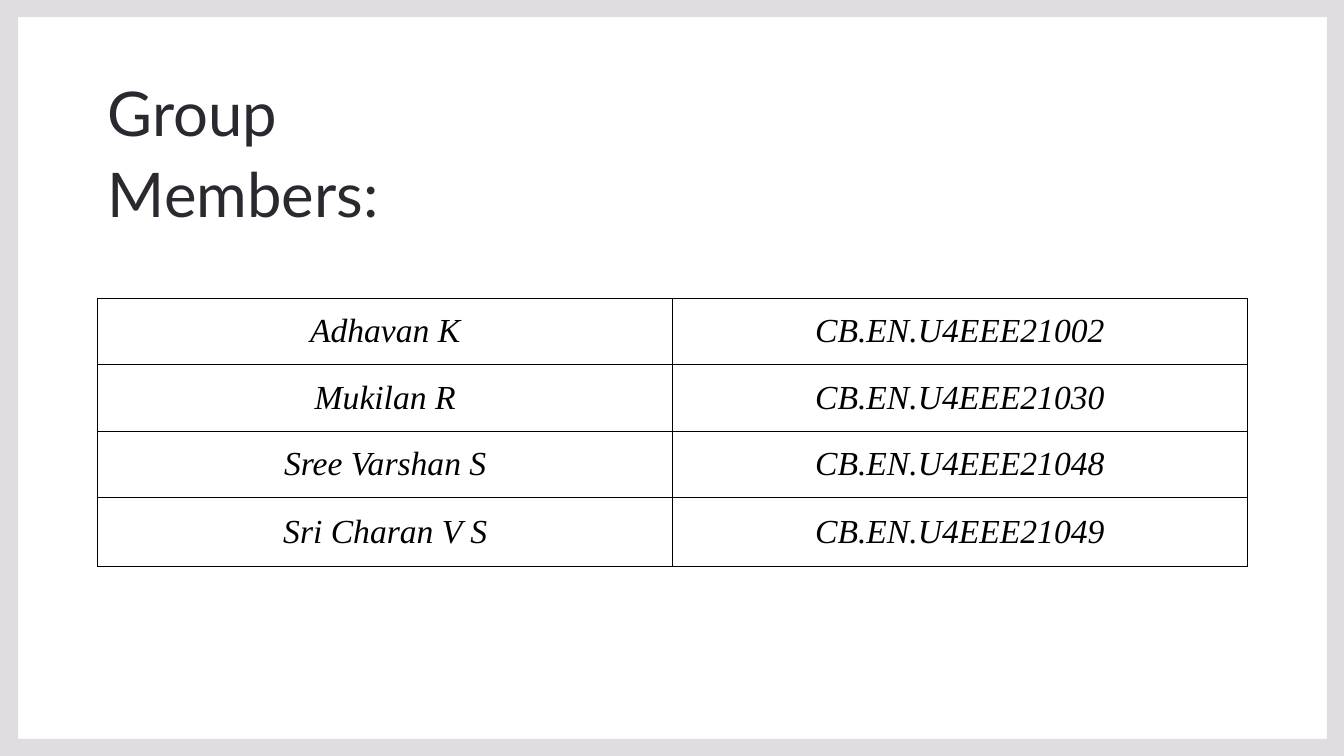
"""Build the group members slide."""
import pptx
import pptx.dml.color
import pptx.enum.text
import pptx.oxml
import pptx.oxml.ns
import pptx.util

Inches = pptx.util.Inches
Pt = pptx.util.Pt
RGBColor = pptx.dml.color.RGBColor
Anchor = pptx.enum.text.MSO_ANCHOR
Align = pptx.enum.text.PP_ALIGN

FRAME = RGBColor(0xE0, 0xDC, 0xE1)
INK = RGBColor(0x2C, 0x28, 0x30)
BLACK = RGBColor(0x00, 0x00, 0x00)

WIDTH, HEIGHT = 13.33, 7.5
LEFT = 0.97
TITLE_FONT = {"name": "Lato", "size": Pt(44)}
CELL_FONT = {"name": "Times New Roman", "size": Pt(24), "italic": True}
CELL_FORMAT = {
    "vertical_anchor": Anchor.MIDDLE,
    "margin_left": Inches(0.06),
    "margin_right": Inches(0.06),
    "margin_top": Inches(0.03),
    "margin_bottom": Inches(0.03),
}
COLUMN_WIDTH = 5.7
ROW_HEIGHTS = [0.66, 0.66, 0.66, 0.68]
MEMBERS = [
    ("Adhavan K", "CB.EN.U4EEE21002"),
    ("Mukilan R", "CB.EN.U4EEE21030"),
    ("Sree Varshan S", "CB.EN.U4EEE21048"),
    ("Sri Charan V S", "CB.EN.U4EEE21049"),
]


def apply(target, values):
    """Set each named attribute on the target."""
    for name, value in values.items():
        setattr(target, name, value)


def write(p, text, font, color):
    """Add a formatted run to a paragraph."""
    r = p.add_run()
    r.text = text
    apply(r.font, font)
    r.font.color.rgb = color


def add_frame(s):
    """Draw the border around the slide edge."""
    outer = [(0, 0), (WIDTH, 0), (WIDTH, HEIGHT), (0, HEIGHT)]
    inner = [(0.18, 0.17), (0.18, 7.33), (13.16, 7.33), (13.16, 0.17)]
    builder = s.shapes.build_freeform(0, 0, scale=1.0)
    for contour in (outer, inner):
        points = [(Inches(x), Inches(y)) for x, y in contour]
        builder.move_to(*points[0])
        builder.add_line_segments(points[1:], close=True)
    sp = builder.convert_to_shape()
    sp.shadow.inherit = False
    sp.fill.solid()
    sp.fill.fore_color.rgb = FRAME
    sp.line.fill.background()


def add_title(s, text):
    """Place the bottom-anchored slide title."""
    sp = s.shapes.add_textbox(Inches(LEFT), Inches(1.29), Inches(4.58), Inches(1.04))
    tf = sp.text_frame
    apply(tf, {"word_wrap": True, "vertical_anchor": Anchor.BOTTOM})
    p = tf.paragraphs[0]
    p.line_spacing = 1.1
    write(p, text, TITLE_FONT, INK)


def add_borders(cell):
    """Give a cell thin black lines on all four sides."""
    tc_pr = cell._tc.get_or_add_tcPr()
    for index, side in enumerate(("lnL", "lnR", "lnT", "lnB")):
        line = pptx.oxml.parse_xml(
            f'<a:{side} {pptx.oxml.ns.nsdecls("a")} w="{Pt(0.75)}">'
            f'<a:solidFill><a:srgbClr val="{BLACK}"/></a:solidFill></a:{side}>'
        )
        tc_pr.insert(index, line)


def add_members(s):
    """Place the table of names and roll numbers."""
    columns = len(MEMBERS[0])
    table = s.shapes.add_table(
        len(MEMBERS), columns, Inches(LEFT), Inches(2.96),
        Inches(columns * COLUMN_WIDTH), Inches(sum(ROW_HEIGHTS)),
    ).table
    apply(table, {"first_row": False, "horz_banding": False})
    for column in table.columns:
        column.width = Inches(COLUMN_WIDTH)
    for row, height, member in zip(table.rows, ROW_HEIGHTS, MEMBERS):
        row.height = Inches(height)
        for cell, text in zip(row.cells, member):
            apply(cell, CELL_FORMAT)
            cell.fill.background()
            add_borders(cell)
            p = cell.text_frame.paragraphs[0]
            p.alignment = Align.CENTER
            write(p, text, CELL_FONT, BLACK)


def main():
    """Create the presentation and save it."""
    prs = pptx.Presentation()
    apply(prs, {"slide_width": Inches(WIDTH), "slide_height": Inches(HEIGHT)})
    s = prs.slides.add_slide(prs.slide_layouts[6])
    add_frame(s)
    add_title(s, "Group Members:")
    add_members(s)
    prs.save("out.pptx")


if __name__ == "__main__":
    main()
